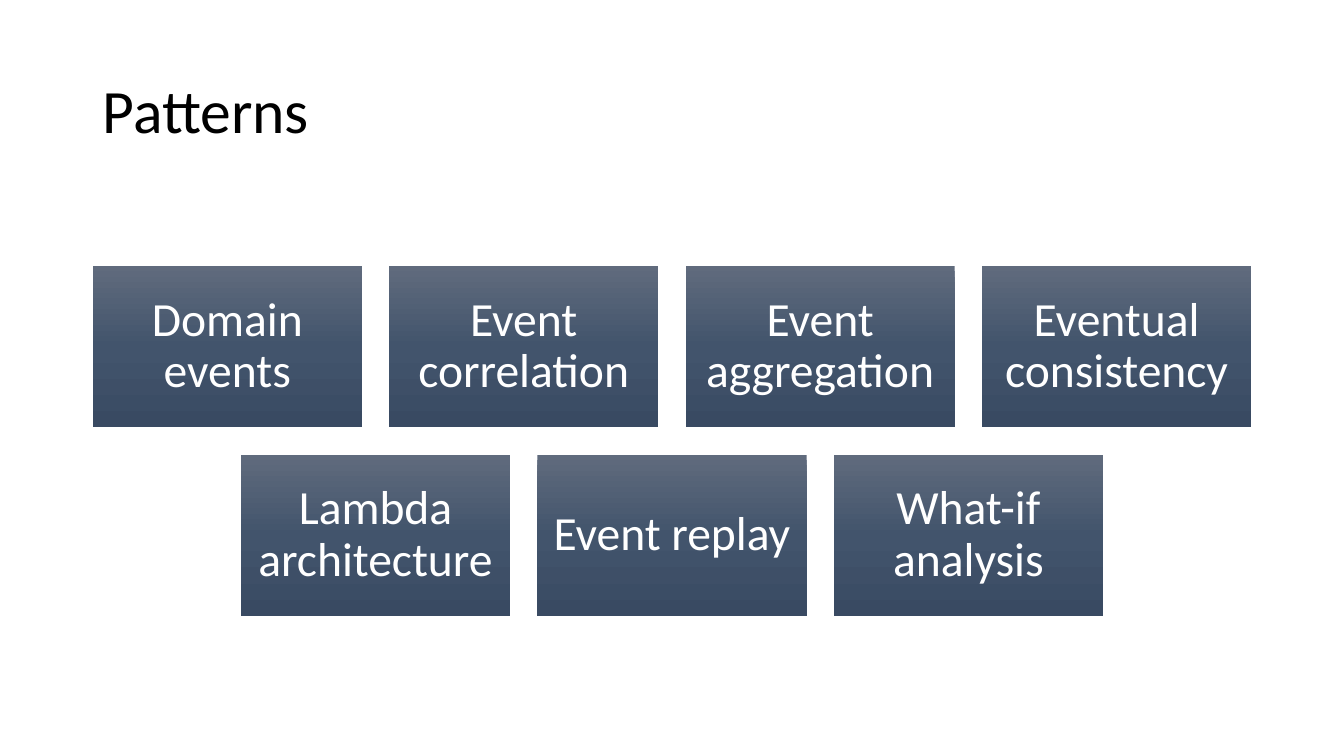
"""Build the Patterns slide: a title above centred rows of gradient tiles."""
from copy import deepcopy

from pptx import Presentation
from pptx.dml.color import RGBColor
from pptx.enum.shapes import MSO_SHAPE
from pptx.enum.text import MSO_ANCHOR, PP_ALIGN
from pptx.oxml.ns import qn
from pptx.util import Inches, Pt

RECTANGLE = MSO_SHAPE.RECTANGLE
MIDDLE = MSO_ANCHOR.MIDDLE
LEFT, CENTER = PP_ALIGN.LEFT, PP_ALIGN.CENTER

TITLE = "Patterns"
ROWS = [
    ["Domain events", "Event correlation", "Event aggregation", "Eventual consistency"],
    ["Lambda architecture", "Event replay", "What-if analysis"],
]

BLACK = RGBColor(0x00, 0x00, 0x00)
WHITE = RGBColor(0xFF, 0xFF, 0xFF)
GRADIENT = [
    (0, RGBColor(0x60, 0x6B, 0x7D)),
    (0.5, RGBColor(0x42, 0x54, 0x6C)),
    (1, RGBColor(0x39, 0x4A, 0x62)),
]
FONT = "Calibri"

SLIDE_W, SLIDE_H = 13.33, 7.5
TILE_W, TILE_H, GAP = 2.67, 1.6, 0.27
ROWS_TOP = 2.64
TILE_INSET = 0.14


def write(tf, text, size, color, align):
    tf.word_wrap = True
    tf.vertical_anchor = MIDDLE
    p = tf.paragraphs[0]
    p.text = text
    p.alignment = align
    p.line_spacing = 0.9
    p.font.name = FONT
    p.font.size = Pt(size)
    p.font.color.rgb = color


def fill_gradient(sp):
    sp.fill.gradient()
    sp.fill.gradient_angle = 270
    stop_list = next(sp._element.spPr.iter(qn("a:gsLst")))
    stop_list.append(deepcopy(stop_list[-1]))
    for stop, (position, color) in zip(sp.fill.gradient_stops, GRADIENT):
        stop.position = position
        stop.color.rgb = color


def add_tile(s, text, left, top):
    sp = s.shapes.add_shape(
        RECTANGLE, Inches(left), Inches(top), Inches(TILE_W), Inches(TILE_H))
    sp.shadow.inherit = False
    sp.line.fill.background()
    fill_gradient(sp)
    tf = sp.text_frame
    tf.margin_left = tf.margin_right = Inches(TILE_INSET)
    tf.margin_top = tf.margin_bottom = Inches(TILE_INSET)
    write(tf, text, 34, WHITE, CENTER)


def main():
    prs = Presentation()
    prs.slide_width, prs.slide_height = Inches(SLIDE_W), Inches(SLIDE_H)
    s = prs.slides.add_slide(prs.slide_layouts[6])

    title = s.shapes.add_textbox(Inches(0.92), Inches(0.4), Inches(11.5), Inches(1.45))
    write(title.text_frame, TITLE, 44, BLACK, LEFT)

    for row, labels in enumerate(ROWS):
        row_w = len(labels) * (TILE_W + GAP) - GAP
        row_left = (SLIDE_W - row_w) / 2
        top = ROWS_TOP + row * (TILE_H + GAP)
        for col, label in enumerate(labels):
            add_tile(s, label, row_left + col * (TILE_W + GAP), top)

    prs.save("out.pptx")


if __name__ == "__main__":
    main()
